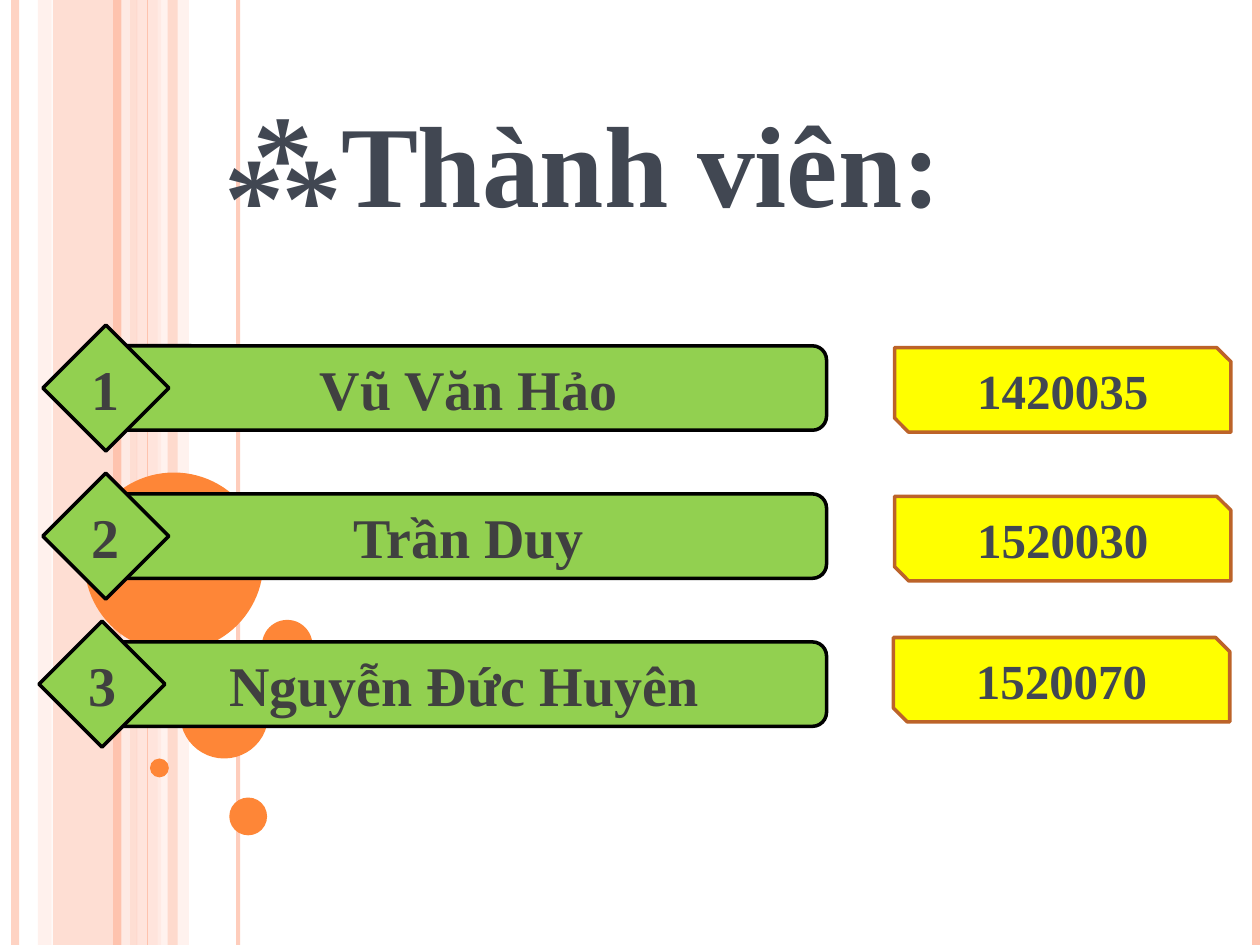
from dataclasses import dataclass

from lxml import etree
from pptx import Presentation
from pptx.dml.color import RGBColor
from pptx.enum.shapes import MSO_CONNECTOR, MSO_SHAPE
from pptx.enum.text import MSO_ANCHOR, MSO_AUTO_SIZE, PP_ALIGN
from pptx.oxml.ns import qn
from pptx.util import Inches, Pt

RECT, OVAL = MSO_SHAPE.RECTANGLE, MSO_SHAPE.OVAL
BAR, GEM = MSO_SHAPE.FLOWCHART_ALTERNATE_PROCESS, MSO_SHAPE.DIAMOND
SNIP = MSO_SHAPE.SNIP_2_DIAG_RECTANGLE
LINE = MSO_CONNECTOR.STRAIGHT
TITLE_ONLY = 5
WIDTH, HEIGHT = 10, 7.5


@dataclass(frozen=True)
class Theme:
    font: str = "Times New Roman"
    slate: str = "414752"
    gray: str = "404040"
    green: str = "92D050"
    yellow: str = "FFFF00"
    rust: str = "BC6329"
    black: str = "000000"
    orange: str = "FE8637"
    rose: str = "FEC3AE"
    blush: str = "FFD9CE"
    pale: str = "FFEDE8"
    title: int = 66
    name: int = 32
    code: int = 28
    edge: int = 2


T = Theme()

# left, width, colour, opacity in percent
BANDS = [
    (0.42, 0.67, T.rose, 54),
    (0.3, 0.11, T.blush, 36),
    (1.08, 0.2, T.blush, 70),
    (1.25, 0.25, T.pale, 71),
]
TOP_BAND = (1.33, 0.08, T.rose, 51)

# x, line width, colour, opacity in percent
STRIPES = [
    (0.12, 4.5, T.rose, 73),
    (1, 4.5, T.pale, 83),
    (0.93, 4.5, T.rose, 100),
    (1.89, 2.25, T.rose, 82),
    (1.17, 0.75, T.rose, 100),
    (9.97, 4.5, T.rose, 100),
]

# left, top, diameter
DOTS = [
    (0.67, 3.75, 1.42),
    (1.43, 5.32, 0.7),
    (1.19, 6.02, 0.15),
    (1.82, 6.33, 0.3),
    (2.08, 4.92, 0.4),
]

# name, code, bar left, gem left, code left, code top
MEMBERS = [
    ("Vũ Văn Hảo", "1420035", 0.88, 0.34, 7.1, 2.76),
    ("Trần Duy", "1520030", 0.88, 0.34, 7.1, 3.94),
    ("Nguyễn Đức Huyên", "1520070", 0.81, 0.31, 7.09, 5.06),
]
ROW_MID, ROW_STEP = 3.08, 1.175
BAR_RIGHT, BAR_HIGH, GEM_SIZE, CODE_WIDE = 6.56, 0.67, 1, 2.67


def rgb(code):
    return RGBColor.from_string(code)


def fade(item, alpha):
    """Set the opacity, in percent, of the one colour in item so far."""
    if alpha < 100:
        color = next(item._element.spPr.iter(qn("a:srgbClr")))
        etree.SubElement(color, qn("a:alpha")).set("val", str(alpha * 1000))


def shape(slide, kind, box, fill, line=None):
    item = slide.shapes.add_shape(kind, *map(Inches, box))
    item.shadow.inherit = False
    item.fill.solid()
    item.fill.fore_color.rgb = rgb(fill)
    if line:
        item.line.color.rgb = rgb(line)
        item.line.width = Pt(T.edge)
    else:
        item.line.fill.background()
    return item


def band(slide, left, width, color, alpha):
    fade(shape(slide, RECT, (left, 0, width, HEIGHT), color), alpha)


def stripe(slide, x, width, color, alpha):
    item = slide.shapes.add_connector(
        LINE, Inches(x), 0, Inches(x), Inches(HEIGHT))
    item.line.color.rgb = rgb(color)
    item.line.width = Pt(width)
    fade(item, alpha)
    etree.SubElement(item._element.spPr, qn("a:effectLst"))


def write(item, text, size, color, align, anchor):
    frame = item.text_frame
    frame.word_wrap = True
    frame.vertical_anchor = anchor
    frame.text = text
    para = frame.paragraphs[0]
    para.alignment = align
    font = para.font
    font.name, font.size, font.bold = T.font, Pt(size), True
    font.color.rgb = rgb(color)


def label(slide, kind, box, fill, line, text, size, color):
    item = shape(slide, kind, box, fill, line)
    write(item, text, size, color, PP_ALIGN.CENTER, MSO_ANCHOR.MIDDLE)


def backdrop(slide):
    for spec in BANDS:
        band(slide, *spec)
    for spec in STRIPES:
        stripe(slide, *spec)
    band(slide, *TOP_BAND)
    for left, top, size in DOTS:
        shape(slide, OVAL, (left, top, size, size), T.orange)


def heading(slide, text):
    """Fill the title and lift it above the backdrop."""
    item = slide.shapes.title
    item.left, item.top = Inches(1.69), Inches(0.68)
    item.width, item.height = Inches(7.01), Inches(1.21)
    write(item, text, T.title, T.slate, PP_ALIGN.LEFT, MSO_ANCHOR.TOP)
    item.text_frame.auto_size = MSO_AUTO_SIZE.NONE
    item.element.getparent().append(item.element)


def member(slide, row, name, code, bar, gem, left, top):
    mid = ROW_MID + row * ROW_STEP
    label(slide, BAR, (bar, mid - BAR_HIGH / 2, BAR_RIGHT - bar, BAR_HIGH),
          T.green, T.black, name, T.name, T.gray)
    label(slide, GEM, (gem, mid - GEM_SIZE / 2, GEM_SIZE, GEM_SIZE),
          T.green, T.black, str(row + 1), T.name, T.gray)
    label(slide, SNIP, (left, top, CODE_WIDE, BAR_HIGH),
          T.yellow, T.rust, code, T.code, T.slate)


def main():
    deck = Presentation()
    deck.slide_width, deck.slide_height = Inches(WIDTH), Inches(HEIGHT)
    slide = deck.slides.add_slide(deck.slide_layouts[TITLE_ONLY])
    backdrop(slide)
    heading(slide, "⁂Thành viên:")
    for row, spec in enumerate(MEMBERS):
        member(slide, row, *spec)
    deck.save("out.pptx")


if __name__ == "__main__":
    main()
